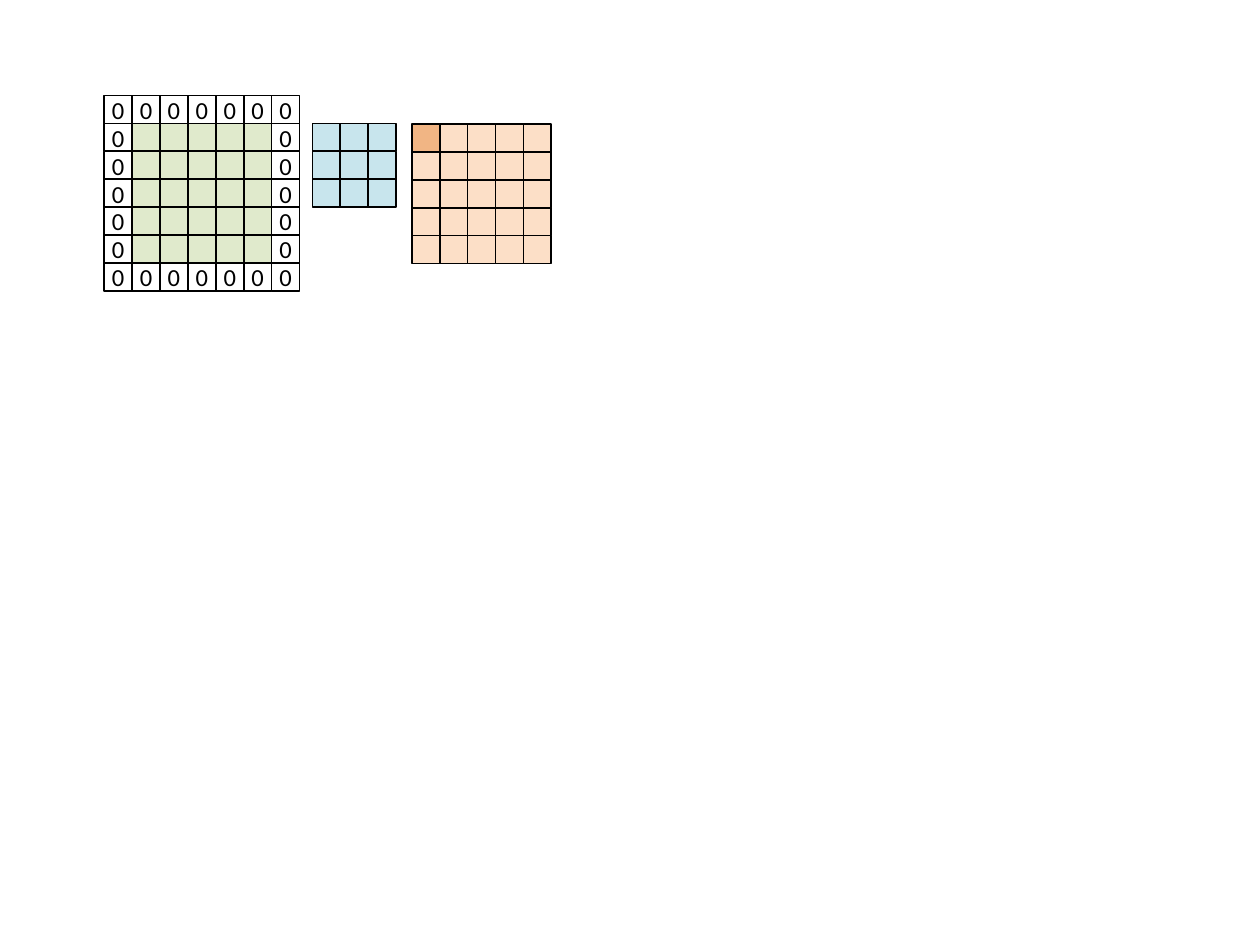
from itertools import product

from lxml import etree
from pptx import Presentation
from pptx import util as u
from pptx.dml.color import RGBColor
from pptx.enum import shapes, text
from pptx.oxml import ns

BLACK = RGBColor(0x00, 0x00, 0x00)
WHITE = RGBColor(0xFF, 0xFF, 0xFF)
GREEN = RGBColor(0xC3, 0xD6, 0x9B)
BLUE = RGBColor(0x93, 0xCD, 0xDD)
PEACH = RGBColor(0xFA, 0xC0, 0x90)
ORANGE = RGBColor(0xE4, 0x6C, 0x0A)


def write_text(shape, content, *, font, size, color):
    frame = shape.text_frame
    frame.word_wrap = False
    frame.vertical_anchor = text.MSO_ANCHOR.MIDDLE
    frame.margin_left = frame.margin_right = u.Pt(0)
    frame.margin_top = frame.margin_bottom = u.Pt(3.6)
    paragraph = frame.paragraphs[0]
    paragraph.alignment = text.PP_ALIGN.CENTER
    run = paragraph.add_run()
    run.text = content
    run.font.name = font
    run.font.size = u.Pt(size)
    run.font.color.rgb = color


class GridSlide:
    font = "Calibri"
    font_size = 14
    cell_size = 15.95
    line_width = 1
    opacity = 50

    def __init__(self, presentation):
        self.slide = presentation.slides.add_slide(presentation.slide_layouts[6])

    def cell(self, group, left, top, color, label=""):
        size = u.Pt(self.cell_size)
        shape = group.shapes.add_shape(
            shapes.MSO_SHAPE.RECTANGLE, u.Pt(left), u.Pt(top), size, size
        )
        shape.shadow.inherit = False
        shape.fill.solid()
        shape.fill.fore_color.rgb = color
        fill_color = shape.fill._xPr.find(ns.qn("a:solidFill"))[0]
        alpha = etree.SubElement(fill_color, ns.qn("a:alpha"))
        alpha.set("val", str(self.opacity * 1000))
        shape.line.color.rgb = BLACK
        shape.line.width = u.Pt(self.line_width)
        if label:
            write_text(shape, label, font=self.font, size=self.font_size, color=BLACK)

    def grid(self, left, top, count, color, padding=0, first_color=None):
        group = self.slide.shapes.add_group_shape()
        inner = range(padding, count - padding)
        positions = list(product(range(count), repeat=2))
        positions.sort(key=lambda p: p[0] not in inner or p[1] not in inner)
        for row, column in positions:
            x = left + column * self.cell_size
            y = top + row * self.cell_size
            if row not in inner or column not in inner:
                self.cell(group, x, y, WHITE, "0")
            elif first_color and row == column == padding:
                self.cell(group, x, y, first_color)
            else:
                self.cell(group, x, y, color)


def main():
    presentation = Presentation()
    presentation.slide_width = u.Pt(720)
    presentation.slide_height = u.Pt(540)

    page = GridSlide(presentation)
    page.grid(59.5, 54.6, 7, GREEN, padding=1)
    page.grid(178.5, 70.55, 3, BLUE)
    page.grid(235.3, 70.85, 5, PEACH, first_color=ORANGE)

    presentation.save("out.pptx")


if __name__ == "__main__":
    main()
